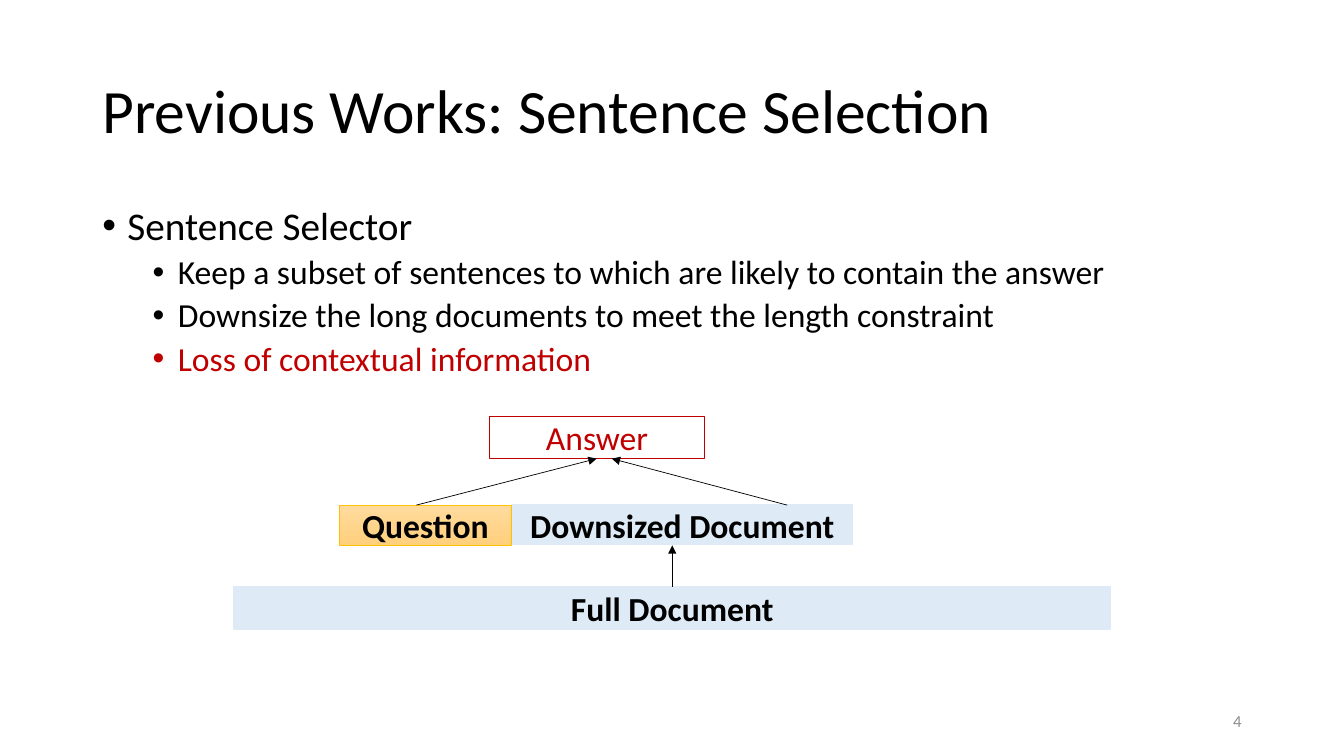
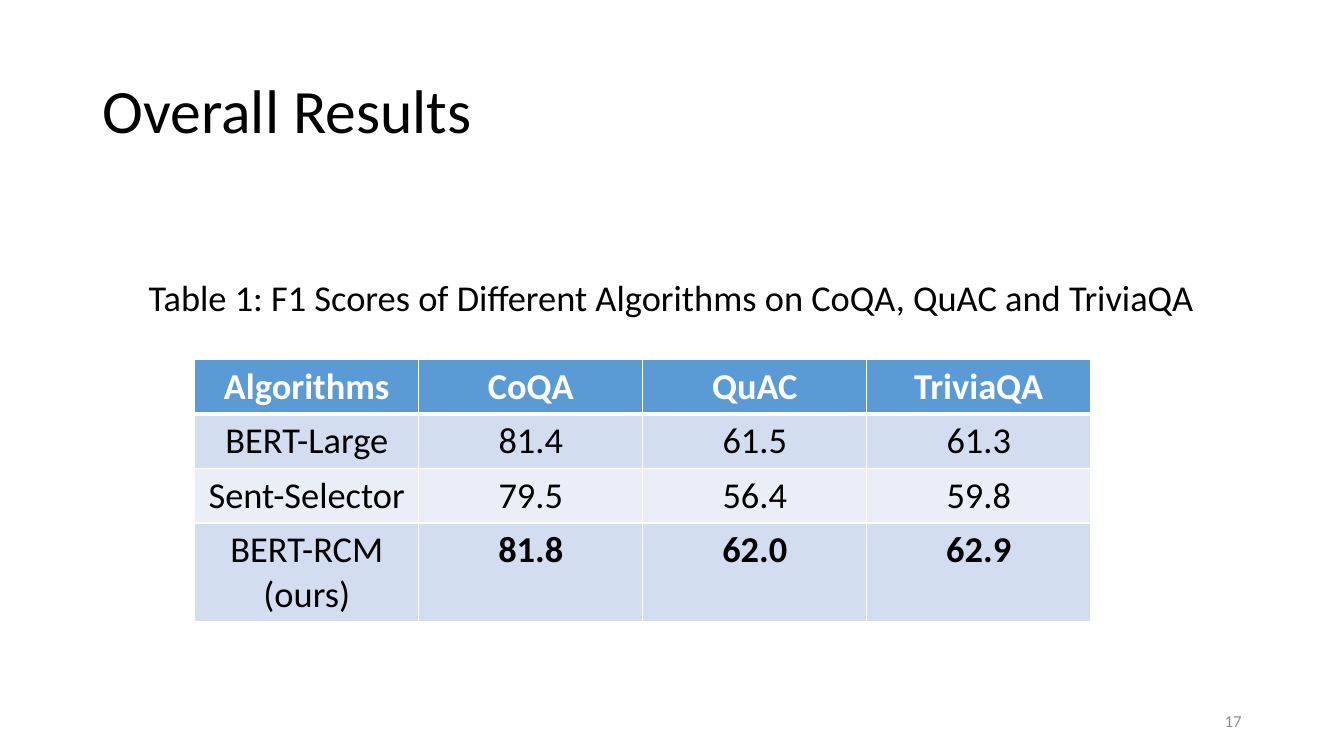
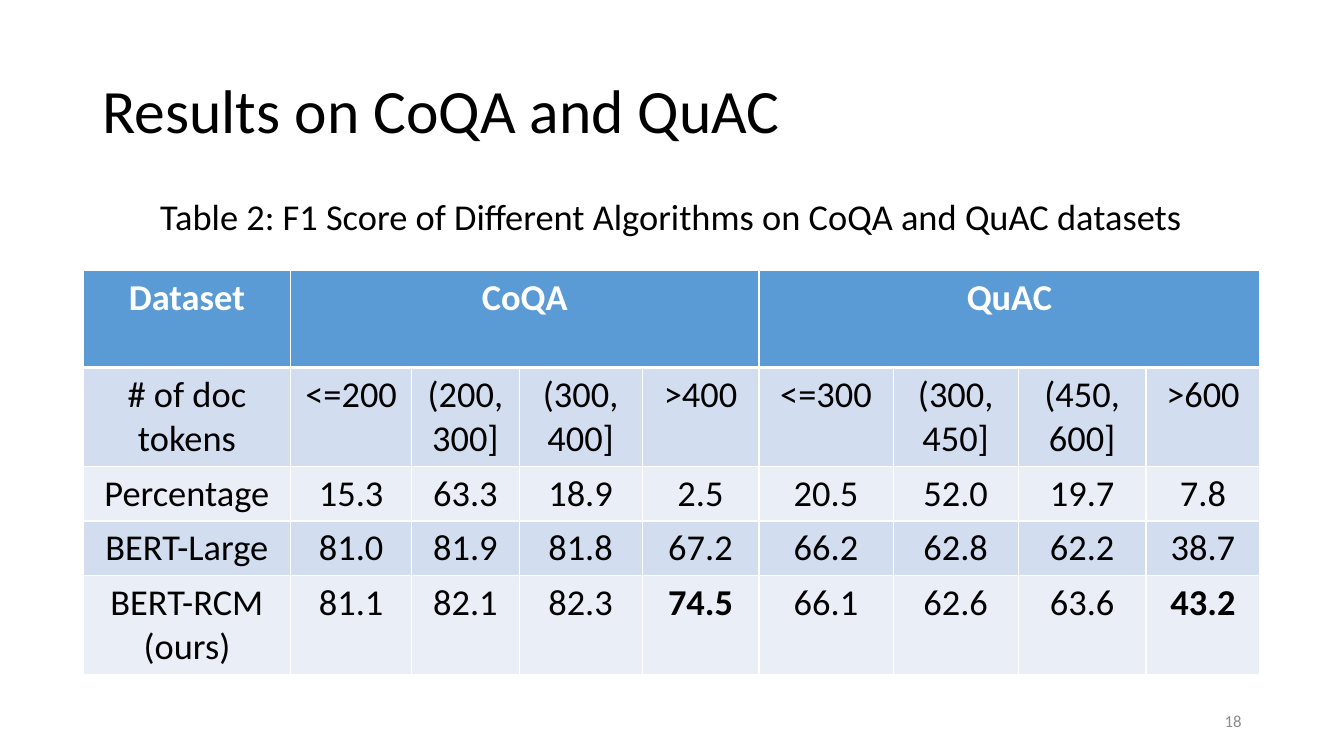
"""Build three slides on sentence selection and reading comprehension results."""

from dataclasses import dataclass

from lxml import etree
from pptx import Presentation
from pptx.dml.color import RGBColor
from pptx.enum.shapes import MSO_CONNECTOR, MSO_SHAPE
from pptx.enum.text import MSO_ANCHOR, MSO_AUTO_SIZE, PP_ALIGN
from pptx.oxml.ns import qn
from pptx.util import Pt

LEFT, CENTER, RIGHT = PP_ALIGN.LEFT, PP_ALIGN.CENTER, PP_ALIGN.RIGHT
TOP, MIDDLE = MSO_ANCHOR.TOP, MSO_ANCHOR.MIDDLE
NO_AUTOFIT = MSO_AUTO_SIZE.NONE
STRAIGHT = MSO_CONNECTOR.STRAIGHT
PROCESS, RECTANGLE = MSO_SHAPE.FLOWCHART_PROCESS, MSO_SHAPE.RECTANGLE

FONT = "Calibri"
TITLE_ONLY = 5
COLORS = {
    "text": "000000",
    "white": "FFFFFF",
    "warning": "C00000",
    "number": "8C8C8C",
    "document": "DEEBF7",
    "question_top": "FFDB9E",
    "question_bottom": "FFD07C",
    "question_line": "FFC000",
    "header": "5B9BD5",
    "band_dark": "D2DEEF",
    "band_light": "EAEFF7",
}


@dataclass(frozen=True)
class Box:
    left: float
    top: float
    width: float
    height: float

    @property
    def lengths(self):
        return Pt(self.left), Pt(self.top), Pt(self.width), Pt(self.height)


@dataclass(frozen=True)
class Bullet:
    text: str
    level: int = 1
    color: str = "text"


@dataclass(frozen=True)
class Block:
    text: str
    box: Box
    fills: tuple = ()
    line: str = "document"
    line_width: float = 1
    color: str = "text"
    bold: bool = True
    outline: int = PROCESS


@dataclass(frozen=True)
class Arrow:
    start: tuple
    end: tuple


@dataclass(frozen=True)
class Results:
    left: float
    top: float
    widths: tuple
    heights: tuple
    rows: tuple
    best: frozenset
    spans: tuple = ()


TITLE_BOX = Box(66, 28.8, 828, 104.4)
NUMBER_BOX = Box(678, 500.4, 216, 28.8)
BODY_BOX = Box(66, 143.8, 828, 342.6)

BULLETS = (
    Bullet("Sentence Selector", level=0),
    Bullet("Keep a subset of sentences to which are likely to contain the answer"),
    Bullet("Downsize the long documents to meet the length constraint"),
    Bullet("Loss of contextual information", color="warning"),
)
BLOCKS = (
    Block("Full Document", Box(167, 419, 626.4, 30.2), ("document",)),
    Block("Downsized Document", Box(365.6, 360.8, 243.4, 28.1), ("document",)),
    Block("Question", Box(242.6, 360.8, 122.6, 28.8),
          ("question_top", "question_bottom"), "question_line", 0.5),
    Block("Answer", Box(349.8, 297.4, 153.4, 30.2), line="warning",
          color="warning", bold=False, outline=RECTANGLE),
)
ARROWS = (
    Arrow((297.4, 360.8), (426.2, 327.6)),
    Arrow((480.2, 419), (480.2, 389.5)),
    Arrow((562.3, 360.8), (437, 327.6)),
)
OVERALL = Results(
    left=139.2, top=256.6, widths=(160,) * 4, heights=(39, 39, 39, 70.6),
    rows=(
        ("Algorithms", "CoQA", "QuAC", "TriviaQA"),
        ("BERT-Large", "81.4", "61.5", "61.3"),
        ("Sent-Selector", "79.5", "56.4", "59.8"),
        ("BERT-RCM (ours)", "81.8", "62.0", "62.9"),
    ),
    best=frozenset({(3, 1), (3, 2), (3, 3)}),
)
BY_LENGTH = Results(
    left=59.4, top=193,
    widths=(148.3, 86.4, 76.8, 87.8, 83.5, 95.8, 89.5, 91.2, 81.4),
    heights=(69.6, 70.6, 39, 39, 70.6),
    rows=(
        ("Dataset", "CoQA", "", "", "", "QuAC", "", "", ""),
        ("# of doc tokens", "<=200", "(200, 300]", "(300, 400]", ">400",
         "<=300", "(300, 450]", "(450, 600]", ">600"),
        ("Percentage", "15.3", "63.3", "18.9", "2.5", "20.5", "52.0", "19.7", "7.8"),
        ("BERT-Large", "81.0", "81.9", "81.8", "67.2", "66.2", "62.8", "62.2", "38.7"),
        ("BERT-RCM (ours)", "81.1", "82.1", "82.3", "74.5",
         "66.1", "62.6", "63.6", "43.2"),
    ),
    best=frozenset({(4, 4), (4, 8)}),
    spans=((1, 4), (5, 8)),
)


def rgb(name: str) -> RGBColor:
    return RGBColor.from_string(COLORS[name])


def write(paragraph, text: str, *, size: float, color: str = "text",
          bold: bool = False, align=LEFT, spacing: float = 1,
          before: float = 0) -> None:
    paragraph.alignment = align
    paragraph.line_spacing = spacing
    paragraph.space_before = Pt(before)
    run = paragraph.add_run()
    run.text = text
    run.font.name = FONT
    run.font.size = Pt(size)
    run.font.bold = bold
    run.font.color.rgb = rgb(color)


def add_frame(slide, box: Box, anchor=TOP):
    frame = slide.shapes.add_textbox(*box.lengths).text_frame
    frame.word_wrap = True
    frame.vertical_anchor = anchor
    return frame


def add_slide(deck, heading: str, number: int):
    slide = deck.slides.add_slide(deck.slide_layouts[TITLE_ONLY])
    title = slide.shapes.title
    title.left, title.top, title.width, title.height = TITLE_BOX.lengths
    frame = title.text_frame
    frame.auto_size = NO_AUTOFIT
    frame.vertical_anchor = MIDDLE
    write(frame.paragraphs[0], heading, size=44, spacing=0.9)
    footer = add_frame(slide, NUMBER_BOX, MIDDLE)
    write(footer.paragraphs[0], str(number), size=12, color="number", align=RIGHT)
    return slide


def add_bullets(slide, bullets: tuple) -> None:
    frame = add_frame(slide, BODY_BOX)
    for index, bullet in enumerate(bullets):
        paragraph = frame.add_paragraph() if index else frame.paragraphs[0]
        write(paragraph, bullet.text, size=28 - 4 * bullet.level,
              color=bullet.color, spacing=0.9, before=10 - 5 * bullet.level)
        paragraph.level = bullet.level
        properties = paragraph._p.get_or_add_pPr()
        properties.set("marL", str(Pt(18 + 36 * bullet.level)))
        properties.set("indent", str(Pt(-18)))
        etree.SubElement(properties, qn("a:buFont"), typeface="Arial")
        etree.SubElement(properties, qn("a:buChar"), char="•")


def add_block(slide, block: Block) -> None:
    shape = slide.shapes.add_shape(block.outline, *block.box.lengths)
    shape.shadow.inherit = False
    if not block.fills:
        shape.fill.background()
    elif len(block.fills) == 1:
        shape.fill.solid()
        shape.fill.fore_color.rgb = rgb(block.fills[0])
    else:
        shape.fill.gradient()
        shape.fill.gradient_angle = 270
        for stop, color in zip(shape.fill.gradient_stops, block.fills):
            stop.color.rgb = rgb(color)
    shape.line.color.rgb = rgb(block.line)
    shape.line.width = Pt(block.line_width)
    shape.text_frame.vertical_anchor = MIDDLE
    write(shape.text_frame.paragraphs[0], block.text, size=24,
          color=block.color, bold=block.bold, align=CENTER)


def add_arrow(slide, arrow: Arrow) -> None:
    ends = [Pt(length) for length in arrow.start + arrow.end]
    connector = slide.shapes.add_connector(STRAIGHT, *ends)
    connector.line.color.rgb = rgb("text")
    connector.line.width = Pt(0.5)
    etree.SubElement(connector.line._get_or_add_ln(), qn("a:tailEnd"), type="triangle")
    etree.SubElement(connector._element.spPr, qn("a:effectLst"))


def set_borders(cell, bottom: float) -> None:
    properties = cell._tc.get_or_add_tcPr()
    sides = (("lnL", 1), ("lnR", 1), ("lnT", 1), ("lnB", bottom))
    for position, (side, width) in enumerate(sides):
        border = etree.Element(qn(f"a:{side}"), w=str(Pt(width)))
        fill = etree.SubElement(border, qn("a:solidFill"))
        etree.SubElement(fill, qn("a:srgbClr"), val=COLORS["white"])
        properties.insert(position, border)


def add_results(slide, results: Results) -> None:
    box = Box(results.left, results.top, sum(results.widths), sum(results.heights))
    table = slide.shapes.add_table(
        len(results.heights), len(results.widths), *box.lengths).table
    for column, width in zip(table.columns, results.widths):
        column.width = Pt(width)
    for row, height in zip(table.rows, results.heights):
        row.height = Pt(height)
    for first, last in results.spans:
        table.cell(0, first).merge(table.cell(0, last))
    for r, texts in enumerate(results.rows):
        heading = r == 0
        band = "header" if heading else ("band_light", "band_dark")[r % 2]
        for c, text in enumerate(texts):
            cell = table.cell(r, c)
            cell.fill.solid()
            cell.fill.fore_color.rgb = rgb(band)
            set_borders(cell, bottom=3 if heading else 1)
            if text:
                write(cell.text_frame.paragraphs[0], text, size=26, align=CENTER,
                      color="white" if heading else "text",
                      bold=heading or (r, c) in results.best)


def add_results_slide(deck, heading: str, number: int, caption: str,
                      caption_box: Box, results: Results) -> None:
    slide = add_slide(deck, heading, number)
    add_results(slide, results)
    frame = add_frame(slide, caption_box)
    write(frame.paragraphs[0], caption, size=26, align=CENTER)


def main() -> None:
    deck = Presentation()
    deck.slide_width, deck.slide_height = Pt(960), Pt(540)

    selection = add_slide(deck, "Previous Works: Sentence Selection", 4)
    add_bullets(selection, BULLETS)
    for block in BLOCKS:
        add_block(selection, block)
    for arrow in ARROWS:
        add_arrow(selection, arrow)

    add_results_slide(
        deck, "Overall Results", 17,
        "Table 1: F1 Scores of Different Algorithms on CoQA, QuAC and TriviaQA",
        Box(92, 193, 776, 38.8), OVERALL)
    add_results_slide(
        deck, "Results on CoQA and QuAC", 18,
        "Table 2: F1 Score of Different Algorithms on CoQA and QuAC datasets",
        Box(102.4, 135.2, 754.6, 38.8), BY_LENGTH)
    deck.save("out.pptx")


if __name__ == "__main__":
    main()
